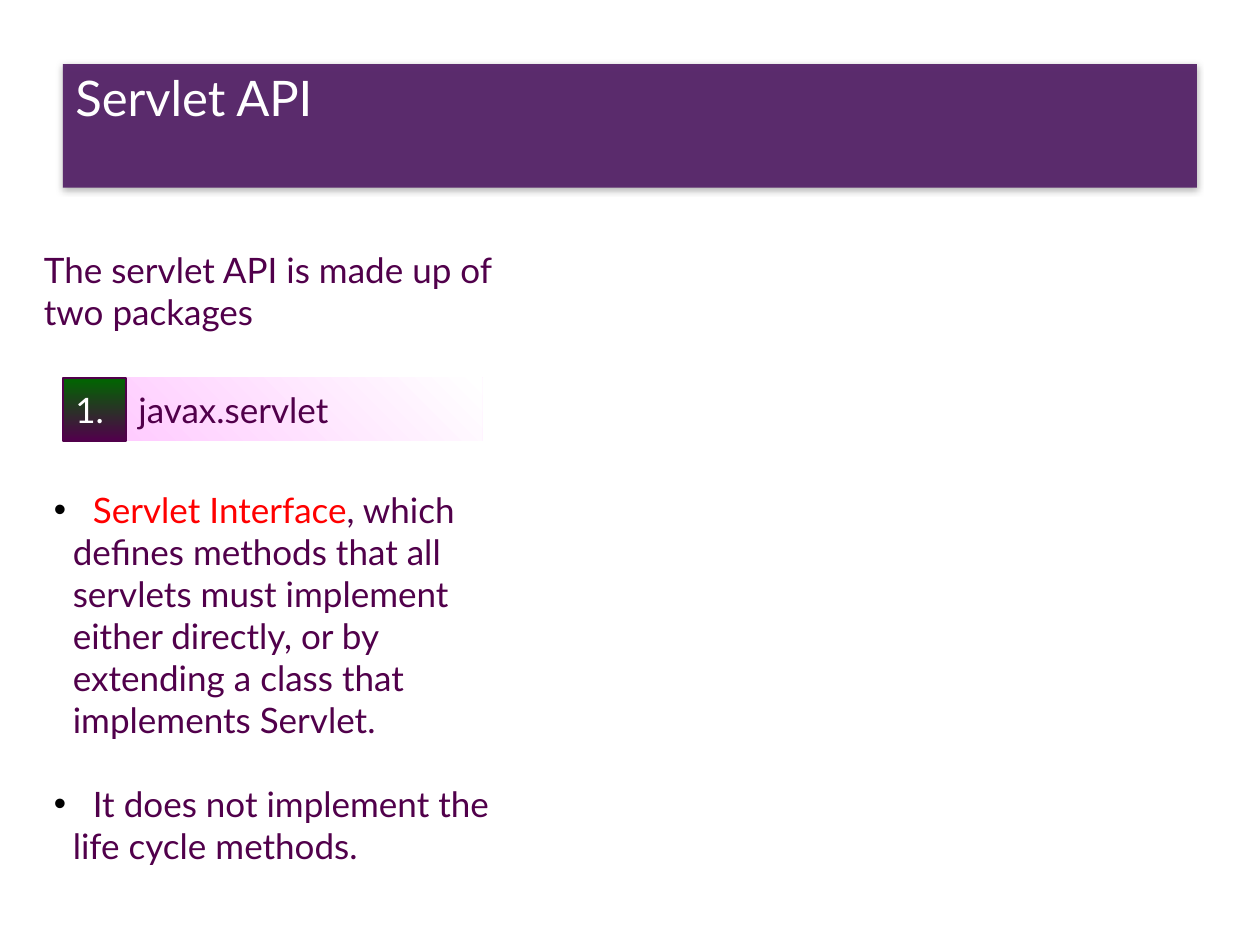
from lxml.etree import SubElement
from pptx import Presentation
from pptx.dml.color import RGBColor
from pptx.enum.shapes import MSO_SHAPE
from pptx.enum.text import MSO_ANCHOR, PP_ALIGN
from pptx.oxml import parse_xml
from pptx.oxml.ns import nsdecls, qn
from pptx.util import Inches, Pt

FONT = "Lato"
COLORS = {
    "white": "FFFFFF",
    "plum": "51004B",
    "banner": "562469",
    "pink": "FFCCFF",
    "green": "006600",
    "red": "FF0000",
    "black": "000000",
}


def color(name):
    return RGBColor.from_string(COLORS[name])


def add_box(slide, left, top, width, height, fill, anchor=MSO_ANCHOR.TOP):
    """Add a rectangle without line or shadow."""
    shape = slide.shapes.add_shape(
        MSO_SHAPE.RECTANGLE, Inches(left), Inches(top), Inches(width), Inches(height))
    shape.shadow.inherit = False
    shape.fill.solid()
    shape.fill.fore_color.rgb = color(fill)
    shape.line.fill.background()
    shape.text_frame.word_wrap = True
    shape.text_frame.vertical_anchor = anchor
    return shape


def style_paragraph(paragraph, font_color="plum", size=20):
    paragraph.alignment = PP_ALIGN.LEFT
    paragraph.font.name = FONT
    paragraph.font.size = Pt(size)
    paragraph.font.color.rgb = color(font_color)


def write_text(shape, text, font_color="plum", size=20):
    paragraph = shape.text_frame.paragraphs[0]
    paragraph.text = text
    style_paragraph(paragraph, font_color, size)
    return paragraph


def set_gradient(shape, start, end, angle):
    shape.fill.gradient()
    shape.fill.gradient_angle = angle
    for stop, name in zip(shape.fill.gradient_stops, (start, end)):
        stop.color.rgb = color(name)


def add_label(slide, left, width, text, font_color, gradient):
    """Add one gradient cell of the numbered package heading."""
    shape = add_box(slide, left, 3, width, 0.5, "white", MSO_ANCHOR.MIDDLE)
    set_gradient(shape, *gradient)
    shape.text_frame.word_wrap = False
    write_text(shape, text, font_color)
    return shape


def set_bullet(paragraph):
    """Hang the bullet, with a tab stop for the first line."""
    properties = paragraph._p.get_or_add_pPr()
    properties.set("marL", str(Inches(0.15)))
    properties.set("indent", str(-Inches(0.15)))
    bullet_color = SubElement(properties, qn("a:buClr"))
    SubElement(bullet_color, qn("a:srgbClr"), val=COLORS["black"])
    SubElement(properties, qn("a:buFont"), typeface="Arial")
    SubElement(properties, qn("a:buChar"), char="•")
    tabs = SubElement(properties, qn("a:tabLst"))
    SubElement(tabs, qn("a:tab"), pos=str(Inches(0.31)), algn="l")


def add_bullets(shape, items):
    """Write bullets, each a list of (text, colour or None) runs."""
    frame = shape.text_frame
    for index, runs in enumerate(items):
        paragraph = frame.add_paragraph() if index else frame.paragraphs[0]
        set_bullet(paragraph)
        style_paragraph(paragraph)
        if index:
            paragraph.space_before = Pt(24)
        for text, run_color in runs:
            run = paragraph.add_run()
            run.text = text
            if run_color:
                run.font.color.rgb = color(run_color)


def add_title(slide, text):
    """Add the translucent banner with a soft shadow."""
    shape = add_box(slide, 0.5, 0.51, 9, 0.98, "banner")
    fill_color = shape.fill._xPr.find(qn("a:solidFill")).find(qn("a:srgbClr"))
    SubElement(fill_color, qn("a:alpha"), val="95000")
    effects = shape._element.spPr.find(qn("a:effectLst"))
    effects.append(parse_xml(
        f'<a:outerShdw {nsdecls("a")} blurRad="50800" dist="12700" dir="5400000" '
        f'rotWithShape="0"><a:srgbClr val="{COLORS["black"]}">'
        '<a:alpha val="30000"/></a:srgbClr></a:outerShdw>'))
    shape.text_frame.margin_top = 0
    write_text(shape, text, "white", 28).line_spacing = 1.05


def main():
    presentation = Presentation()
    presentation.slide_width = Inches(10)
    presentation.slide_height = Inches(7.5)
    slide = presentation.slides.add_slide(presentation.slide_layouts[6])

    # Introduction
    introduction = add_box(slide, 0.25, 1.92, 3.83, 4, "white")
    write_text(introduction, "The servlet API is made up of two packages")

    # Numbered package heading
    add_label(slide, 1, 2.83, "javax.servlet", "plum", ("pink", "white", 45))
    number = add_label(slide, 0.5, 0.5, "1.", "white", ("green", "plum", 270))
    number.line.color.rgb = color("plum")
    number.line.width = Pt(1)

    # Package description
    description = add_box(slide, 0.33, 3.83, 3.67, 3.25, "white")
    add_bullets(description, [
        [("\t", None), ("Servlet Interface", "red"),
         (", which defines methods that all servlets must implement either "
          "directly, or by extending a class that implements Servlet.", None)],
        [("\tIt does not implement the life cycle methods.", None)],
    ])

    # Title banner
    add_title(slide, "Servlet API")

    presentation.save("out.pptx")


if __name__ == "__main__":
    main()
